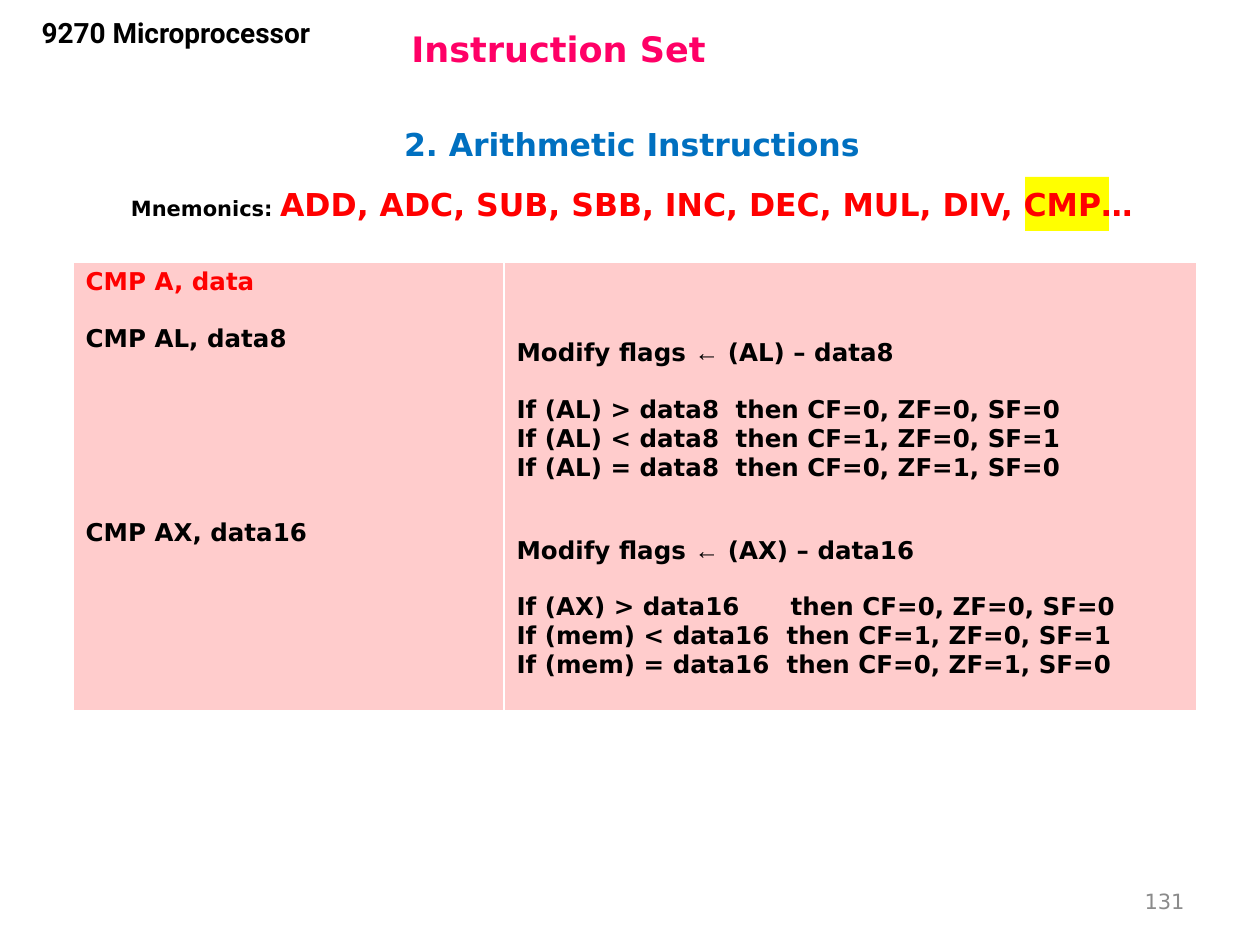
from lxml import etree
from pptx import Presentation
from pptx.dml.color import RGBColor
from pptx.enum.shapes import MSO_SHAPE
from pptx.enum.text import MSO_ANCHOR, PP_ALIGN
from pptx.oxml.ns import qn
from pptx.util import Emu, Pt

RECT = MSO_SHAPE.RECTANGLE
TOP, MID = MSO_ANCHOR.TOP, MSO_ANCHOR.MIDDLE
LEFT, CENTER, RIGHT = PP_ALIGN.LEFT, PP_ALIGN.CENTER, PP_ALIGN.RIGHT

BLACK = RGBColor(0x00, 0x00, 0x00)
RED = RGBColor(0xFF, 0x00, 0x00)
BLUE = RGBColor(0x00, 0x70, 0xC0)
ROSE = RGBColor(0xFF, 0x00, 0x66)
GRAY = RGBColor(0x8B, 0x8B, 0x8B)
PINK = RGBColor(0xFF, 0xCC, 0xCC)
YELLOW = RGBColor(0xFF, 0xFF, 0x00)
SANS = "DejaVu Sans"


def px(n):
    return Emu(round(n * 914400 / 126))


def style(font, size, color, name=SANS, bold=True):
    font.size, font.name, font.bold = Pt(size), name, bold
    font.color.rgb = color


def add_text(slide, box, text, size, color, align=CENTER, anchor=TOP,
             name=SANS, bold=True):
    frame = slide.shapes.add_textbox(*map(px, box)).text_frame
    frame.word_wrap = True
    frame.vertical_anchor = anchor
    para = frame.paragraphs[0]
    para.text, para.alignment = text, align
    style(para.font, size, color, name, bold)
    return para


def add_mark(slide, box):
    mark = slide.shapes.add_shape(RECT, *map(px, box))
    mark.shadow.inherit = False
    mark.fill.solid()
    mark.fill.fore_color.rgb = YELLOW
    mark.line.fill.background()


def add_edges(cell):
    props = cell._tc.get_or_add_tcPr()
    for side, width in (("L", 0.96), ("T", 0.96), ("R", 0.96), ("B", 3)):
        line = etree.SubElement(props, qn(f"a:ln{side}"), w=str(Pt(width)))
        fill = etree.SubElement(line, qn("a:solidFill"))
        etree.SubElement(fill, qn("a:srgbClr"), val="FFFFFF")


def add_tab(para, stop):
    tabs = etree.SubElement(para._p.get_or_add_pPr(), qn("a:tabLst"))
    etree.SubElement(tabs, qn("a:tab"), pos=str(px(stop)), algn="l")


def fill_cell(cell, rows, top=6):
    add_edges(cell)
    cell.fill.solid()
    cell.fill.fore_color.rgb = PINK
    cell.margin_top = px(top)
    frame = cell.text_frame
    for i, (text, gap, color, stop) in enumerate(rows):
        para = frame.add_paragraph() if i else frame.paragraphs[0]
        if stop:
            add_tab(para, stop)
        if gap:
            para.space_before = Pt(gap)
        style(para.font, 14, color)
        head, arrow, tail = text.partition("←")
        for part in filter(None, (head, arrow, tail)):
            run = para.add_run()
            run.text = part
            if part == "←":
                run.font.name = "Arial"


def rules(reg, data, gap, tests):
    rows = [(f"Modify flags ← ({reg}) – {data}", gap, BLACK, 0)]
    flags = ("CF=0, ZF=0, SF=0", "CF=1, ZF=0, SF=1", "CF=0, ZF=1, SF=0")
    for i, ((left, stop), sign, flag) in enumerate(zip(tests, "><=", flags)):
        text = f"If ({left}) {sign} {data}\tthen {flag}"
        rows.append((text, 0 if i else 16, BLACK, stop))
    return rows


def add_grid(slide):
    frame = slide.shapes.add_table(1, 2, px(73), px(262), px(1124), px(450))
    table = frame.table
    for col, width in zip(table.columns, (431, 693)):
        col.width = px(width)
    fill_cell(table.cell(0, 0), [
        ("CMP A, data", 0, RED, 0),
        ("CMP AL, data8", 16, BLACK, 0),
        ("CMP AX, data16", 94.5, BLACK, 0),
    ])
    byte = rules("AL", "data8", 0, [("AL", 219)] * 3)
    word = rules("AX", "data16", 31,
                 [("AX", 274), ("mem", 270), ("mem", 270)])
    fill_cell(table.cell(0, 1), byte + word, 77)


def main():
    deck = Presentation()
    deck.slide_width, deck.slide_height = px(1260), px(945)
    slide = deck.slides.add_slide(deck.slide_layouts[6])
    add_mark(slide, (1025, 177, 84, 54))
    add_text(slide, (36, 117, 1192, 54), "2. Arithmetic Instructions",
             18, BLUE, anchor=MID)
    add_text(slide, (399, 15, 829, 67), "Instruction Set", 20, ROSE,
             LEFT, MID)
    add_text(slide, (903, 876, 294, 50), "131", 12, GRAY, RIGHT, MID,
             bold=False)
    add_text(slide, (8, 9, 336, 79), "9270 Microprocessor", 16, BLACK,
             name="Roboto")
    names = add_text(slide, (36, 179, 1192, 50), "Mnemonics: ", 12, BLACK)
    run = names.add_run()
    run.text = "ADD, ADC, SUB, SBB, INC, DEC, MUL, DIV, CMP…"
    style(run.font, 18, RED)
    add_grid(slide)
    deck.save("out.pptx")


if __name__ == "__main__":
    main()
